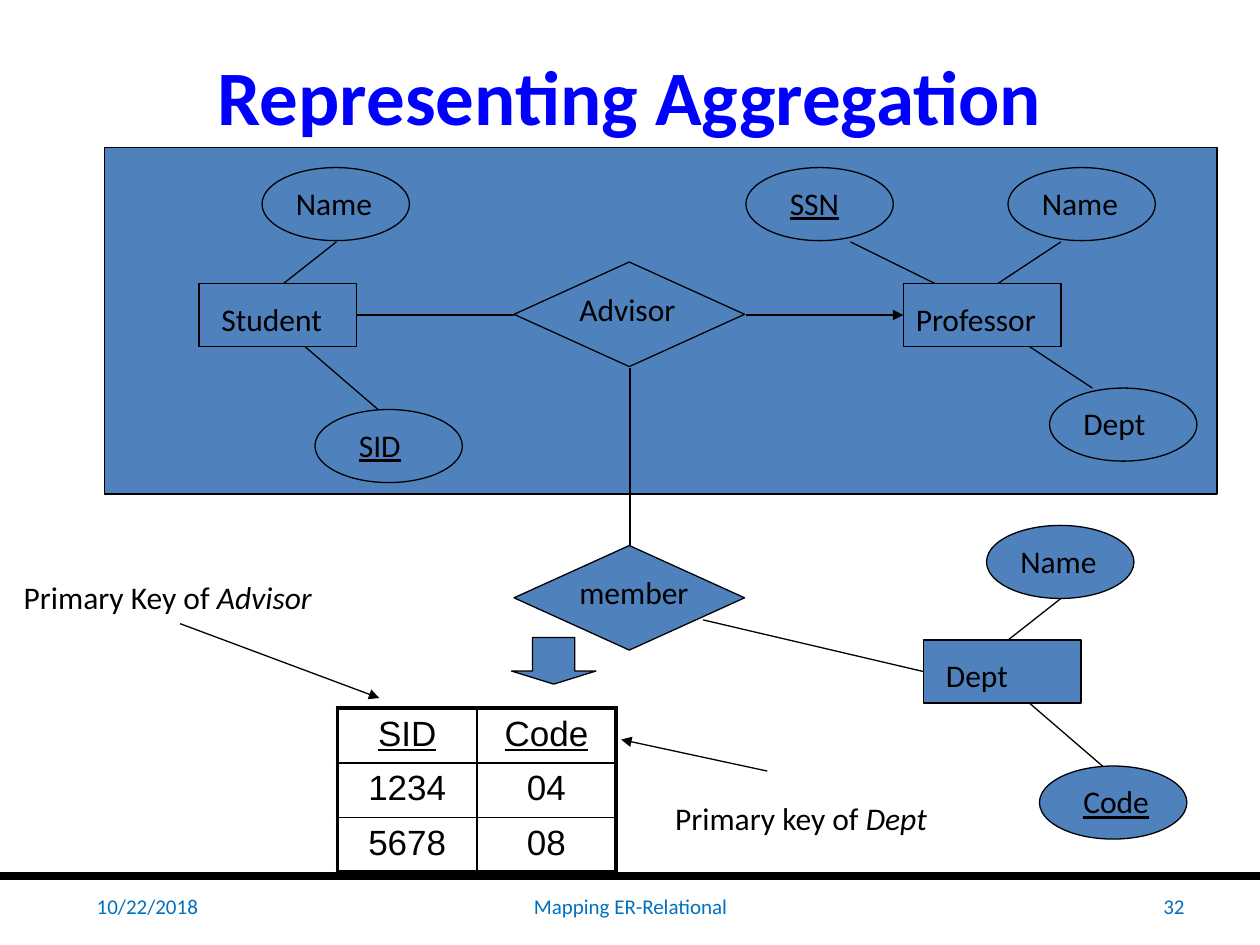
from dataclasses import dataclass

from lxml import etree
from pptx import Presentation
from pptx.dml.color import RGBColor
from pptx.enum import shapes, text
from pptx.oxml import ns
from pptx.util import Inches, Pt

BLACK, BLUE, WHITE = "000000", "4F81BD", "FFFFFF"
TITLE, FOOT = "0000FF", "0070C0"
KIND = shapes.MSO_SHAPE
ALIGN = text.PP_ALIGN
ANCHOR = text.MSO_ANCHOR


@dataclass
class Node:
    """A diagram shape whose label is a text box set dx, dy from its corner."""
    kind: int
    size: tuple[float, float]
    label: str
    x: float
    y: float
    dx: float
    dy: float = 0.08
    key: bool = False


@dataclass
class Link:
    x1: float
    y1: float
    x2: float
    y2: float
    arrow: bool = False


@dataclass
class Note:
    label: str
    x: float
    y: float
    wide: float
    italic: str


@dataclass
class Foot:
    label: str
    x: float
    wide: float
    align: int


def entity(label: str, x: float, y: float, dx: float = 0.08) -> Node:
    return Node(KIND.RECTANGLE, (1.25, 0.5), label, x, y, dx)


def field(label: str, x: float, y: float, key: bool = False) -> Node:
    return Node(KIND.OVAL, (1.17, 0.58), label, x, y, 0.25 if key else 0.17, key=key)


def relation(label: str, x: float, y: float) -> Node:
    return Node(KIND.FLOWCHART_DECISION, (1.83, 0.83), label, x, y, 0.42, 0.17)


NODES = [
    entity("Student", 1.58, 2.25),
    field("Name", 2.08, 1.33),
    field("SID", 2.5, 3.25, key=True),
    relation("Advisor", 4.08, 2.08),
    entity("Professor", 7.17, 2.25, dx=0),
    field("SSN", 5.92, 1.33, key=True),
    field("Name", 8, 1.33),
    field("Dept", 8.33, 3.08),
    entity("Dept", 7.33, 5.08),
    field("Name", 7.83, 4.17),
    field("Code", 8.25, 6.08, key=True),
    relation("member", 4.08, 4.33),
]
LINKS = [
    Link(2.67, 1.92, 2.25, 2.25),
    Link(3, 3.25, 2.42, 2.75),
    Link(2.83, 2.5, 4.08, 2.5),
    Link(5.92, 2.5, 7.17, 2.5, arrow=True),
    Link(6.75, 1.92, 7.42, 2.25),
    Link(8.42, 1.92, 7.92, 2.25),
    Link(8.67, 3.08, 8.17, 2.75),
    Link(8.42, 4.75, 8, 5.08),
    Link(8.75, 6.08, 8.17, 5.58),
    Link(7.33, 5.33, 5.58, 4.92),
    Link(5, 4.33, 5, 2.92),
    Link(1.43, 4.95, 3.01, 5.54, arrow=True),
    Link(6.09, 6.12, 4.93, 5.87, arrow=True),
]
NOTES = [
    Note("Primary Key of ", 0.09, 4.54, 2.83, "Advisor"),
    Note("Primary key of ", 5.26, 6.29, 2.42, "Dept"),
]
FEET = [
    Foot("10/22/2018", 0.5, 1.17, ALIGN.RIGHT),
    Foot("Mapping ER-Relational", 3.42, 3.17, ALIGN.CENTER),
    Foot("32", 7.17, 2.33, ALIGN.RIGHT),
]
ROWS = [("SID", "Code"), ("1234", "04"), ("5678", "08")]


def rgb(code: str) -> RGBColor:
    return RGBColor.from_string(code)


def style(run, size: float, color: str = BLACK, face: str = "Calibri") -> None:
    run.font.size = Pt(size)
    run.font.name = face
    run.font.color.rgb = rgb(color)


def add_text(slide, words: str, x: float, y: float, w: float, h: float,
             size: float = 18, color: str = BLACK, align=ALIGN.LEFT, anchor=ANCHOR.TOP):
    """Add a wrapped one-line text box and return its paragraph."""
    frame = slide.shapes.add_textbox(Inches(x), Inches(y), Inches(w), Inches(h)).text_frame
    frame.word_wrap = True
    frame.vertical_anchor = anchor
    frame.text = words
    para = frame.paragraphs[0]
    para.alignment = align
    style(para.runs[0], size, color)
    return para


def add_box(slide, kind: int, x: float, y: float, w: float, h: float):
    box = slide.shapes.add_shape(kind, Inches(x), Inches(y), Inches(w), Inches(h))
    box.shadow.inherit = False
    box.fill.solid()
    box.fill.fore_color.rgb = rgb(BLUE)
    box.line.color.rgb = rgb(BLACK)
    box.line.width = Pt(0.75)
    return box


def add_node(slide, node: Node) -> None:
    add_box(slide, node.kind, node.x, node.y, *node.size)
    para = add_text(slide, node.label, node.x + node.dx, node.y + node.dy, 1.33, 0.4)
    if node.key:
        para.runs[0].font.underline = True


def add_link(slide, link: Link, width: float = 0.75) -> None:
    line = slide.shapes.add_connector(
        shapes.MSO_CONNECTOR.STRAIGHT,
        Inches(link.x1), Inches(link.y1), Inches(link.x2), Inches(link.y2))
    line.line.color.rgb = rgb(BLACK)
    line.line.width = Pt(width)
    if link.arrow:
        etree.SubElement(line.line._get_or_add_ln(), ns.qn("a:tailEnd"), type="triangle")
    etree.SubElement(line._element.spPr, ns.qn("a:effectLst"))


def add_edge(cell, side: str, width: float) -> None:
    edge = etree.SubElement(cell._tc.get_or_add_tcPr(), ns.qn(f"a:ln{side}"), w=str(Pt(width)))
    fill = etree.SubElement(edge, ns.qn("a:solidFill"))
    etree.SubElement(fill, ns.qn("a:srgbClr"), val=BLACK)


def add_keys(slide) -> None:
    """Add the key table: thick outer frame, thin inner rules."""
    table = slide.shapes.add_table(
        3, 2, Inches(2.68), Inches(5.62), Inches(2.21), Inches(1.3)).table
    table.first_row = table.horz_banding = False
    for r, row in enumerate(ROWS):
        for c, words in enumerate(row):
            cell = table.cell(r, c)
            outer = {"L": c == 0, "R": c == 1, "T": r == 0, "B": r == 2}
            for side, thick in outer.items():
                add_edge(cell, side, 2.25 if thick else 1)
            if r == 1:
                cell.fill.solid()
                cell.fill.fore_color.rgb = rgb(WHITE)
            else:
                cell.fill.background()
            cell.text_frame.text = words
            para = cell.text_frame.paragraphs[0]
            para.alignment = ALIGN.CENTER
            style(para.runs[0], 20, face="Arial")
            para.runs[0].font.underline = r == 0


def main() -> None:
    deck = Presentation()
    deck.slide_width, deck.slide_height = Inches(10), Inches(7.5)
    slide = deck.slides.add_slide(deck.slide_layouts[6])

    add_link(slide, Link(0, 6.95, 10, 6.95), 4.5)
    add_box(slide, KIND.RECTANGLE, 0.83, 1.17, 8.83, 2.75)
    title = add_text(slide, "Representing Aggregation", 0.5, 0.13, 9, 1.25,
                     44, TITLE, ALIGN.CENTER, ANCHOR.MIDDLE)
    title.runs[0].font.bold = True

    for node in NODES:
        add_node(slide, node)
    add_keys(slide)
    arrow = add_box(slide, KIND.DOWN_ARROW, 4.06, 5.06, 0.67, 0.37)
    arrow.adjustments[1] = 0.28
    for link in LINKS:
        add_link(slide, link)
    for note in NOTES:
        para = add_text(slide, note.label, note.x, note.y, note.wide, 0.4)
        run = para.add_run()
        run.text = note.italic
        style(run, 18)
        run.font.italic = True
    for foot in FEET:
        add_text(slide, foot.label, foot.x, 6.93, foot.wide, 0.52,
                 12, FOOT, foot.align, ANCHOR.MIDDLE)
    deck.save("out.pptx")


if __name__ == "__main__":
    main()
